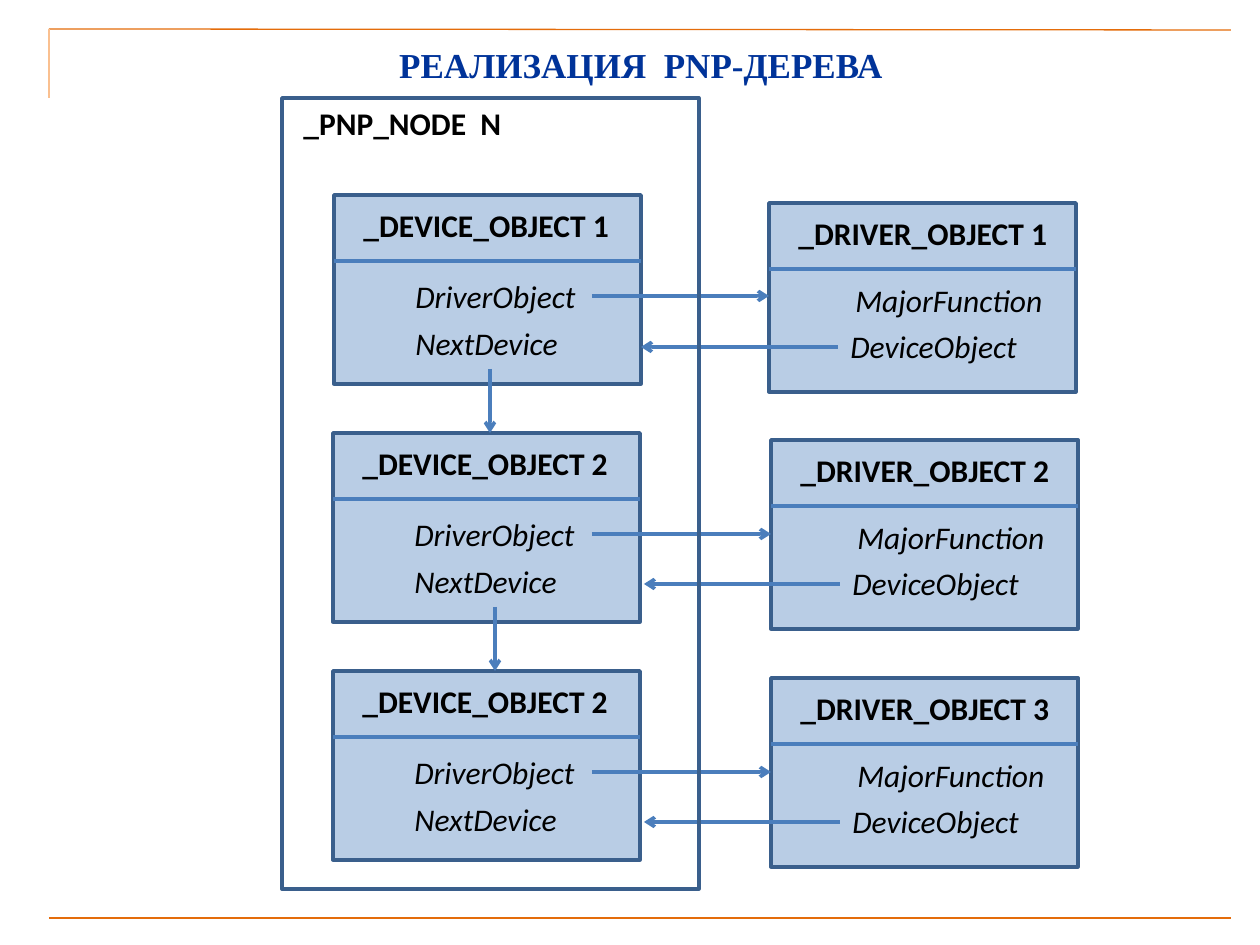
"""Build the slide showing how device and driver objects form a PnP tree."""
from dataclasses import dataclass

import pptx
import pptx.dml.color
import pptx.enum.shapes
import pptx.enum.text
import pptx.oxml.ns
import pptx.util
from lxml import etree

PX = 914400 // 126


@dataclass(frozen=True)
class Theme:
    title: str = "003399"
    ink: str = "000000"
    fill: str = "B9CDE5"
    border: str = "3A5F8C"
    arrow: str = "4B7EBC"
    rule: str = "E46C0A"
    pale_rule: str = "FAC090"
    title_font: str = "Times New Roman"
    body_font: str = "Calibri"
    title_size: int = 20
    body_size: int = 18
    rule_width: float = 0.75
    side_width: float = 1.5
    line_width: float = 2


THEME = Theme()
HEADING = "РЕАЛИЗАЦИЯ  PNP-ДЕРЕВА"
NODE = "_PNP_NODE  N"
NODE_FRAME = (282, 98, 417, 791)
RULES = [
    ((49, 29), (1231, 30), THEME.rule, THEME.rule_width),
    ((49, 29), (49, 98), THEME.pale_rule, THEME.side_width),
    ((49, 918), (1231, 918), THEME.rule, THEME.rule_width),
]
DEVICES = [
    ("_DEVICE_OBJECT 1", 334, 195),
    ("_DEVICE_OBJECT 2", 333, 433),
    ("_DEVICE_OBJECT 2", 333, 671),
]
DRIVERS = [
    ("_DRIVER_OBJECT 1", 769, 203),
    ("_DRIVER_OBJECT 2", 771, 440),
    ("_DRIVER_OBJECT 3", 771, 678),
]
DEVICE_FIELDS = [("DriverObject", 69, 76, 188), ("NextDevice", 69, 123, 173)]
DRIVER_FIELDS = [("MajorFunction", 74, 72, 214), ("DeviceObject", 69, 118, 194)]
DEVICE_TITLE_W, DRIVER_TITLE_W = 273, 277
OBJECT_W, OBJECT_H = 307, 189
DIVIDER_Y, TEXT_H = 66, 50
LINK_X, LINK_Y = 592, 101
BACK_X, BACK_Y = 69, 144
BACK_ENDS = [641, 644, 644]
NEXT_XS = [490, 495]
NEXT_LENGTH = 64


def rgb(color):
    return pptx.dml.color.RGBColor.from_string(color)


def add_text(slide, text, box, *, font=THEME.body_font, size=THEME.body_size,
             color=THEME.ink, bold=False, italic=False, wrap=False, align="LEFT"):
    frame = slide.shapes.add_textbox(*(v * PX for v in box)).text_frame
    frame.word_wrap = wrap
    frame.auto_size = pptx.enum.text.MSO_AUTO_SIZE.SHAPE_TO_FIT_TEXT
    paragraph = frame.paragraphs[0]
    paragraph.alignment = pptx.enum.text.PP_ALIGN[align]
    run = paragraph.add_run()
    run.text = text
    run.font.name = font
    run.font.size = pptx.util.Pt(size)
    run.font.color.rgb = rgb(color)
    run.font.bold = bold
    run.font.italic = italic


def add_line(slide, start, end, color=THEME.arrow, width=THEME.line_width, arrow=False):
    connector = slide.shapes.add_connector(
        pptx.enum.shapes.MSO_CONNECTOR.STRAIGHT, *(v * PX for v in (*start, *end)))
    connector.line.color.rgb = rgb(color)
    connector.line.width = pptx.util.Pt(width)
    qn = pptx.oxml.ns.qn
    properties = connector.element.spPr
    if arrow:
        etree.SubElement(properties.find(qn("a:ln")), qn("a:tailEnd"), type="arrow")
    etree.SubElement(properties, qn("a:effectLst"))


def add_box(slide, box, fill=None):
    shape = slide.shapes.add_shape(
        pptx.enum.shapes.MSO_SHAPE.RECTANGLE, *(v * PX for v in box))
    shape.shadow.inherit = False
    if fill:
        shape.fill.solid()
        shape.fill.fore_color.rgb = rgb(fill)
    else:
        shape.fill.background()
    shape.line.color.rgb = rgb(THEME.border)
    shape.line.width = pptx.util.Pt(THEME.line_width)


def add_object(slide, title, x, y, title_w, fields):
    add_box(slide, (x, y, OBJECT_W, OBJECT_H), THEME.fill)
    add_text(slide, title, (x + 17, y + 5, title_w, TEXT_H), bold=True)
    add_line(slide, (x, y + DIVIDER_Y), (x + OBJECT_W, y + DIVIDER_Y))
    for name, dx, dy, width in fields:
        add_text(slide, name, (x + dx, y + dy, width, TEXT_H), italic=True)


def main():
    deck = pptx.Presentation()
    deck.slide_width, deck.slide_height = 1260 * PX, 945 * PX
    slide = deck.slides.add_slide(deck.slide_layouts[6])

    for rule in RULES:
        add_line(slide, *rule)
    add_text(slide, HEADING, (134, 37, 1014, 55), font=THEME.title_font,
             size=THEME.title_size, color=THEME.title, bold=True, wrap=True,
             align="CENTER")

    for device in DEVICES:
        add_object(slide, *device, DEVICE_TITLE_W, DEVICE_FIELDS)
    for driver in DRIVERS:
        add_object(slide, *driver, DRIVER_TITLE_W, DRIVER_FIELDS)

    for (_, _, device_y), (_, x, y), back_end in zip(DEVICES, DRIVERS, BACK_ENDS):
        link_y, back_y = device_y + LINK_Y, y + BACK_Y
        add_line(slide, (LINK_X, link_y), (x, link_y), arrow=True)
        add_line(slide, (x + BACK_X, back_y), (back_end, back_y), arrow=True)
    for x, (_, _, y) in zip(NEXT_XS, DEVICES[1:]):
        add_line(slide, (x, y - NEXT_LENGTH), (x, y), arrow=True)

    add_box(slide, NODE_FRAME)
    add_text(slide, NODE, (291, 98, 226, TEXT_H), bold=True)
    deck.save("out.pptx")


if __name__ == "__main__":
    main()
